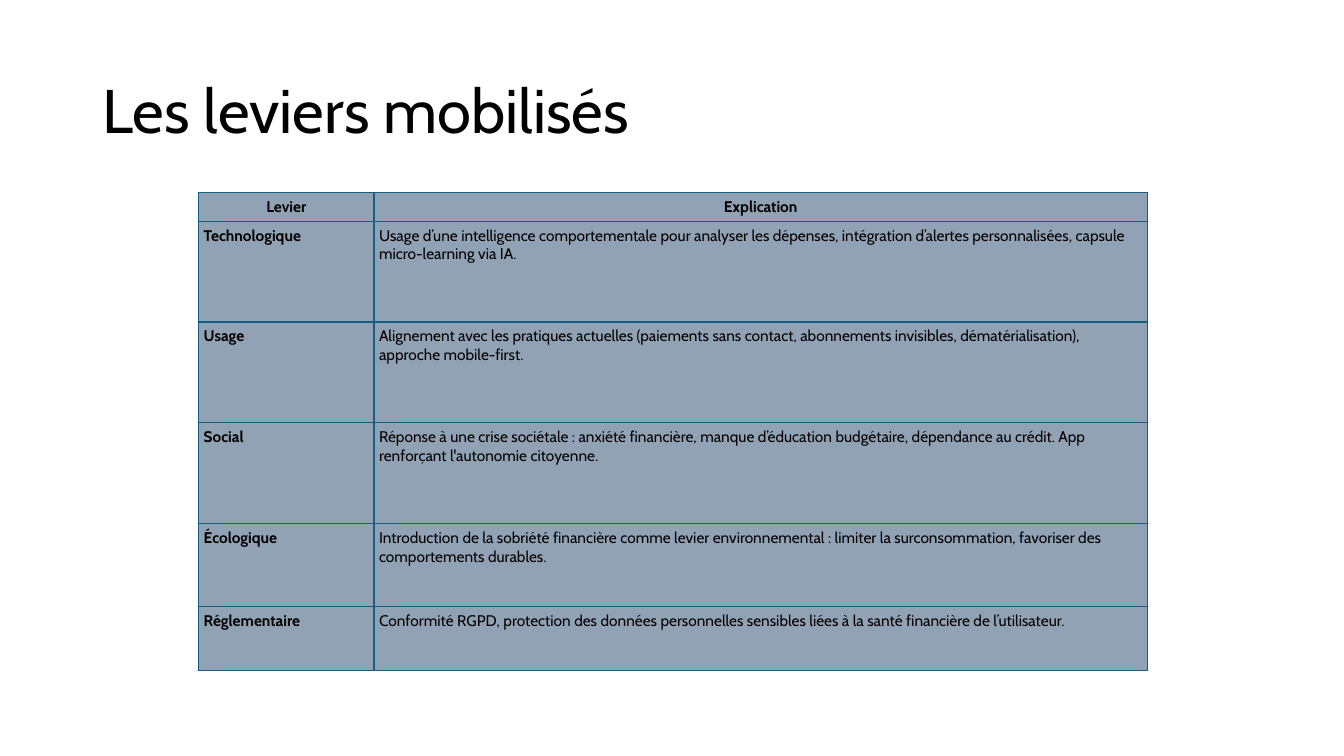
import pptx
import pptx.util
import pptx.dml.color
import pptx.enum.text
import pptx.oxml
import pptx.oxml.ns

Inches, Pt = pptx.util.Inches, pptx.util.Pt
SLIDE_W, SLIDE_H = 13.33, 7.5
FONT = "Cabin"
COLORS = {"text": "000000", "cell": "91A2B4", "border": "156082"}
COLUMN_SHARES = [1.74, 7.67]
ROW_SHARES = [0.24, 1, 1, 1, 0.82, 0.64]
LEVERS = [
    ("Levier", "Explication"),
    ("Technologique", "Usage d’une intelligence comportementale pour analyser les dépenses, "
     "intégration d’alertes personnalisées, capsule micro-learning via IA."),
    ("Usage", "Alignement avec les pratiques actuelles (paiements sans contact, "
     "abonnements invisibles, dématérialisation), approche mobile-first."),
    ("Social", "Réponse à une crise sociétale : anxiété financière, manque d’éducation "
     "budgétaire, dépendance au crédit. App renforçant l'autonomie citoyenne."),
    ("Écologique", "Introduction de la sobriété financière comme levier environnemental : "
     "limiter la surconsommation, favoriser des comportements durables."),
    ("Réglementaire", "Conformité RGPD, protection des données personnelles sensibles "
     "liées à la santé financière de l’utilisateur."),
]


def rgb(name):
    """Return the named colour."""
    return pptx.dml.color.RGBColor.from_string(COLORS[name])


def write(paragraph, text, size, bold=False):
    """Put text in a paragraph and format its run."""
    paragraph.text = text
    font = paragraph.runs[0].font
    font.name, font.size, font.bold = FONT, Pt(size), bold
    font.color.rgb = rgb("text")


def add_title(slide, box, text):
    """Place the slide title, centred vertically in its box."""
    frame = slide.shapes.add_textbox(*map(Inches, box)).text_frame
    frame.word_wrap = True
    frame.vertical_anchor = pptx.enum.text.MSO_ANCHOR.MIDDLE
    write(frame.paragraphs[0], text, 44)
    frame.paragraphs[0].line_spacing = 0.9


def add_borders(cell):
    """Draw a one-point line on each side of a cell."""
    properties = cell._tc.get_or_add_tcPr()
    for side in ("lnL", "lnR", "lnT", "lnB"):
        properties.append(pptx.oxml.parse_xml(
            f'<a:{side} {pptx.oxml.ns.nsdecls("a")} w="{Pt(1)}"><a:solidFill>'
            f'<a:srgbClr val="{COLORS["border"]}"/></a:solidFill></a:{side}>'))


def fill_cell(cell, text, is_header, is_lever):
    """Write and style one table cell."""
    cell.margin_left = cell.margin_right = Inches(0.05)
    cell.margin_top = cell.margin_bottom = Inches(0.05)
    add_borders(cell)
    cell.fill.solid()
    cell.fill.fore_color.rgb = rgb("cell")
    paragraph = cell.text_frame.paragraphs[0]
    write(paragraph, text, 11, bold=is_header or is_lever)
    paragraph.space_before = paragraph.space_after = Pt(12)
    if is_header:
        paragraph.alignment = pptx.enum.text.PP_ALIGN.CENTER


def add_lever_table(slide, box, levers):
    """Place the table of levers, sharing the box among columns and rows."""
    left, top, width, height = box
    table = slide.shapes.add_table(
        len(levers), len(COLUMN_SHARES), *map(Inches, box)).table
    table.first_row = table.horz_banding = False
    for column, share in zip(table.columns, COLUMN_SHARES):
        column.width = Inches(width * share / sum(COLUMN_SHARES))
    for row, share in zip(table.rows, ROW_SHARES):
        row.height = Inches(height * share / sum(ROW_SHARES))
    for r, lever in enumerate(levers):
        for c, text in enumerate(lever):
            fill_cell(table.cell(r, c), text, r == 0, c == 0)


def main():
    """Build and save the slide."""
    deck = pptx.Presentation()
    deck.slide_width, deck.slide_height = Inches(SLIDE_W), Inches(SLIDE_H)
    slide = deck.slides.add_slide(deck.slide_layouts[6])
    add_title(slide, (0.92, 0.4, 11.5, 1.45), "Les leviers mobilisés")
    add_lever_table(slide, (1.97, 1.91, 9.41, 4.7), LEVERS)
    deck.save("out.pptx")


if __name__ == "__main__":
    main()
